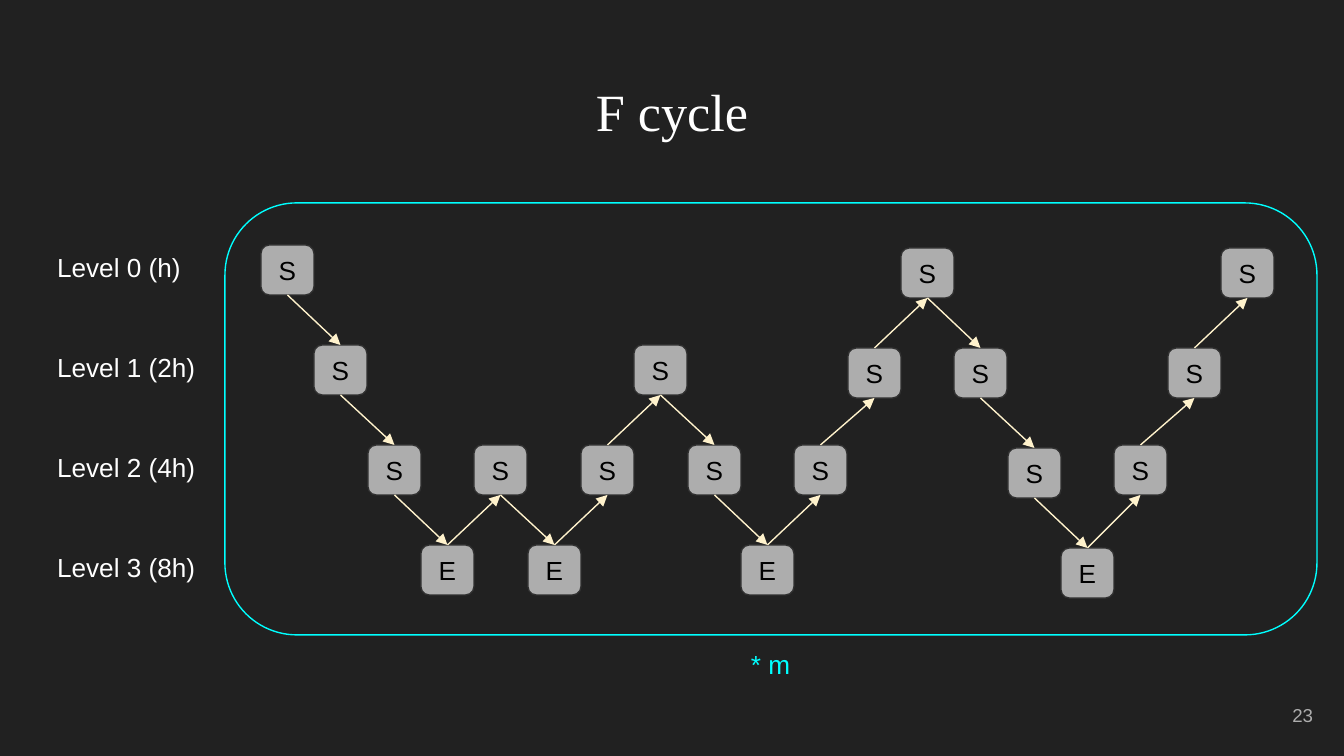
import pptx
import pptx.util
import pptx.dml.color
import pptx.enum.shapes
import pptx.enum.text
import pptx.oxml
import pptx.oxml.ns

PX = 9144000 / 1344  # EMU per px
COLORS = {
    "background": "212121",
    "text": "FFFFFF",
    "node": "ADADAD",
    "node_line": "303030",
    "node_text": "000000",
    "arrow": "FFF2CC",
    "frame": "00FFFF",
    "page": "ADADAD",
}
RGB = {name: pptx.dml.color.RGBColor.from_string(c) for name, c in COLORS.items()}
ALIGN = pptx.enum.text.PP_ALIGN
ANCHOR = pptx.enum.text.MSO_ANCHOR
ROUNDED = pptx.enum.shapes.MSO_SHAPE.ROUNDED_RECTANGLE


def px(*lengths):
    return [round(n * PX) for n in lengths]


def write(shape, text, color, size=14, font="Arial", align=ALIGN.LEFT, anchor=ANCHOR.TOP):
    """Put one formatted line of text into a shape."""
    tf = shape.text_frame
    tf.text = text
    tf.word_wrap = True
    tf.auto_size = pptx.enum.text.MSO_AUTO_SIZE.NONE
    tf.vertical_anchor = anchor
    tf.margin_left, tf.margin_top, tf.margin_right, tf.margin_bottom = px(13, 13, 13, 13)
    p = tf.paragraphs[0]
    p.alignment = align
    r = p.runs[0]
    r.font.size = pptx.util.Pt(size)
    r.font.name = font
    r.font.color.rgb = RGB[color]


prs = pptx.Presentation()
prs.slide_width, prs.slide_height = px(1344, 756)
s = prs.slides.add_slide(prs.slide_layouts[5])
s.background.fill.solid()
s.background.fill.fore_color.rgb = RGB["background"]

title = s.shapes.title
title.left, title.top, title.width, title.height = px(46, 66, 1252, 84)
write(title, "F cycle", "text", 28, "Times New Roman", ALIGN.CENTER)

# Grid level visited at each step; S smooths, E solves exactly on the coarsest level
levels = [0, 1, 2, 3, 2, 3, 2, 1, 2, 3, 2, 1, 0, 1, 2, 3, 2, 1, 0]
lowered_steps = {11, 12, 13, 14, 15, 17, 18}
nodes = []
for step, level in enumerate(levels):
    left = 261 + round(step * 160 / 3)
    top = 245 + 100 * level + (3 if step in lowered_steps else 0)
    sp = s.shapes.add_shape(ROUNDED, *px(left, top, 53, 50))
    sp.shadow.inherit = False
    sp.fill.solid()
    sp.fill.fore_color.rgb = RGB["node"]
    sp.line.color.rgb = RGB["node_line"]
    sp.line.width = pptx.util.Pt(0.75)
    write(sp, "E" if level == 3 else "S", "node_text", align=ALIGN.CENTER, anchor=ANCHOR.MIDDLE)
    nodes.append(sp)

for i in range(len(nodes) - 1):
    going_down = levels[i + 1] > levels[i]
    arrow = s.shapes.add_connector(pptx.enum.shapes.MSO_CONNECTOR.STRAIGHT, 0, 0, 0, 0)
    arrow.begin_connect(nodes[i], 2 if going_down else 0)
    arrow.end_connect(nodes[i + 1], 0 if going_down else 2)
    arrow.line.color.rgb = RGB["arrow"]
    arrow.line.width = pptx.util.Pt(0.75)
    ln = arrow.line._get_or_add_ln()
    ln.append(pptx.oxml.parse_xml(
        f'<a:tailEnd {pptx.oxml.ns.nsdecls("a")} type="triangle"/>'))
    ln.addnext(pptx.oxml.parse_xml(f'<a:effectLst {pptx.oxml.ns.nsdecls("a")}/>'))

for level, spacing in enumerate(["h", "2h", "4h", "8h"]):
    label = s.shapes.add_textbox(*px(44, 238 + 100 * level, 175, 60))
    write(label, f"Level {level} ({spacing})", "text")

frame = s.shapes.add_shape(ROUNDED, *px(225, 203, 1092, 432))
frame.shadow.inherit = False
frame.fill.background()
frame.line.color.rgb = RGB["frame"]
frame.line.width = pptx.util.Pt(0.75)

repeat = s.shapes.add_textbox(*px(738, 635, 70, 47))
write(repeat, "* m", "frame")

page = s.shapes.add_textbox(*px(1245, 686, 81, 58))
write(page, "23", "page", 10, align=ALIGN.RIGHT, anchor=ANCHOR.MIDDLE)

prs.save("out.pptx")
